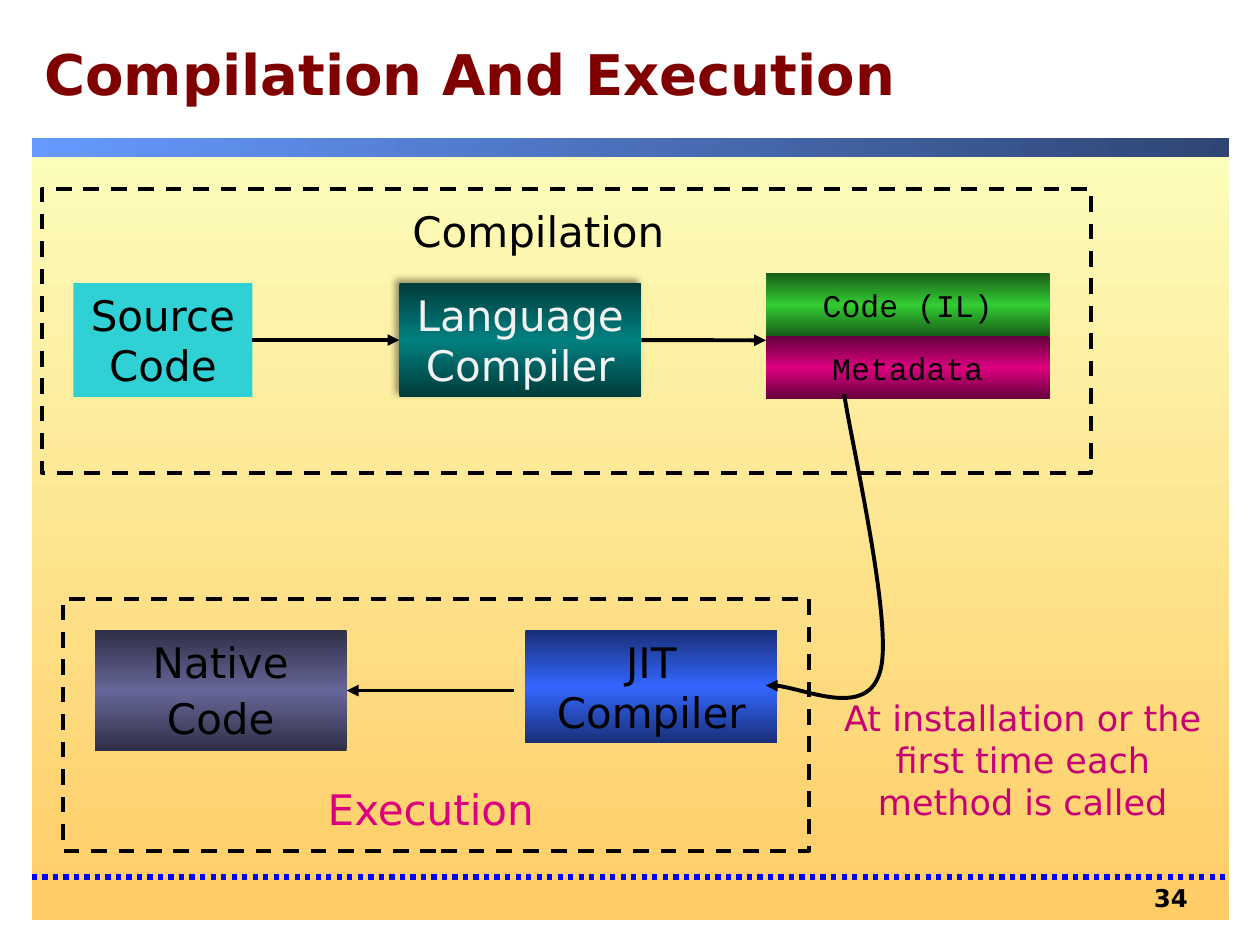
import copy

import lxml.etree
import pptx
import pptx.dml.color
import pptx.enum.dml
import pptx.enum.shapes
import pptx.enum.text
import pptx.oxml.ns
import pptx.util

Cm, Pt = pptx.util.Cm, pptx.util.Pt
qn = pptx.oxml.ns.qn
Kind = pptx.enum.shapes.MSO_SHAPE
Dash = pptx.enum.dml.MSO_LINE
Align = pptx.enum.text.PP_ALIGN
Anchor = pptx.enum.text.MSO_ANCHOR
SANS, MONO = "DejaVu Sans", "Courier New"


def rgb(code):
    return pptx.dml.color.RGBColor.from_string(code)


def sub(node, tag, **attrs):
    return lxml.etree.SubElement(node, qn(tag), attrs)


def within(box, x, y, w, h):
    """Turn a place inside a box into a place on the slide."""
    return box[0] + x, box[1] + y, w, h


def paint(shape, hues, angle=270):
    """Fill with one colour, or with evenly spaced gradient stops."""
    fill = shape.fill
    if len(hues) == 1:
        fill.solid()
        fill.fore_color.rgb = rgb(hues[0])
        return
    fill.gradient()
    fill.gradient_angle = angle
    stops = shape._element.spPr.find(".//" + qn("a:gsLst"))
    for _ in hues[2:]:
        stops.append(copy.deepcopy(stops[0]))
    for i, (stop, hue) in enumerate(zip(fill.gradient_stops, hues)):
        stop.color.rgb = rgb(hue)
        stop.position = i / (len(hues) - 1)


def write(shape, lines, size, hue="000000", font=SANS, bold=False,
          align=Align.CENTER, before=0, wrap=True, anchor=Anchor.TOP):
    frame = shape.text_frame
    frame.word_wrap = wrap
    frame.vertical_anchor = anchor
    for i, line in enumerate(lines):
        para = frame.add_paragraph() if i else frame.paragraphs[0]
        para.alignment = align
        para.space_before = Pt(before)
        run = para.add_run()
        run.text = line
        run.font.size, run.font.name, run.font.bold = Pt(size), font, bold
        run.font.color.rgb = rgb(hue)


def block(slide, box, hues, angle=270):
    shape = slide.shapes.add_shape(Kind.RECTANGLE, *map(Cm, box))
    shape.shadow.inherit = False
    paint(shape, hues, angle)
    shape.line.fill.background()
    return shape


def frame(slide, box):
    shape = slide.shapes.add_shape(Kind.RECTANGLE, *map(Cm, box))
    shape.shadow.inherit = False
    shape.fill.background()
    shape.line.dash_style = Dash.DASH
    ink(shape.line)


def label(slide, box, text, size, hue, **style):
    shape = slide.shapes.add_textbox(*map(Cm, box))
    write(shape, [text], size, hue, **style)
    return shape


def ink(line, hue="000000", width=2.25):
    line.color.rgb = rgb(hue)
    line.width = Pt(width)


def rule(slide, x1, y1, x2, y2):
    line = slide.shapes.add_connector(
        pptx.enum.shapes.MSO_CONNECTOR.STRAIGHT, *map(Cm, (x1, y1, x2, y2)))
    sub(line._element.spPr, "a:effectLst")
    ink(line.line)
    return line


def tip(shape):
    """Put an arrowhead at the end of a line."""
    sub(shape.line._get_or_add_ln(), "a:tailEnd", type="triangle")


def cast(shape):
    """Give a soft shadow towards the upper left."""
    effects = shape._element.spPr.find(qn("a:effectLst"))
    outer = sub(effects, "a:outerShdw", blurRad=str(Pt(4)), dist=str(Pt(3)),
                dir=str(225 * 60000), algn="br", rotWithShape="0")
    sub(sub(outer, "a:prstClr", val="black"), "a:alpha", val="40000")


def curve(slide, box, spots):
    """Draw Bezier arcs: a start, then three points for each arc."""
    spots = [(Cm(box[0] + x), Cm(box[1] + y)) for x, y in spots]
    pen = slide.shapes.build_freeform(*spots[0])
    pen.add_line_segments(spots[1:], close=False)
    shape = pen.convert_to_shape()
    route = shape._element.spPr.find(".//" + qn("a:path"))
    legs = route.findall(qn("a:lnTo"))
    for i in range(0, len(legs), 3):
        arc = sub(route, "a:cubicBezTo")
        for leg in legs[i:i + 3]:
            arc.append(leg[0])
            route.remove(leg)
    shape.shadow.inherit = False
    shape.fill.background()
    ink(shape.line)
    tip(shape)


def ground(slide, box):
    x, y, w, h = box
    block(slide, box, ["FCFEBC", "FFCC66"])
    block(slide, (x, y, w, 0.38), ["6699FF", "2F4675"], 0)
    low = y + 14.89
    line = rule(slide, x, low, x + w - 0.03, low).line
    ink(line, "0000FF", 3)
    line.dash_style = Dash.ROUND_DOT
    num = label(slide, within(box, 21.2, 14.89, 2.54, 0.51), "34", 14,
                "000000", bold=True, align=Align.RIGHT, before=7)
    num.text_frame.margin_right = Cm(0.43)


def head(slide, box):
    title = slide.shapes.title
    title.left, title.top, title.width, title.height = map(Cm, box)
    write(title, ["Compilation And Execution"], 32, "800000", bold=True,
          align=Align.LEFT, anchor=Anchor.MIDDLE)
    title.text_frame.paragraphs[0].line_spacing = 0.8


def build(slide, box):
    """Place the compilation stage."""
    frame(slide, box)
    label(slide, within(box, 7.21, 0.2, 5.61, 1.27), "Compilation", 24,
          "000000", before=3.6, wrap=False)
    source = block(slide, within(box, 0.64, 1.9, 3.61, 2.29), ["2FD1D5"])
    write(source, ["Source Code"], 24, before=3.6)
    lang = block(slide, within(box, 7.21, 1.9, 4.88, 2.29),
                 ["003B3B", "008080", "003B3B"])
    write(lang, ["Language Compiler"], 24, "F2F2F2", before=3.6)
    cast(lang)
    parts = [("Code (IL)", "185E18", "33CC33"),
             ("Metadata", "65003B", "DC0081")]
    for i, (text, dark, light) in enumerate(parts):
        part = block(slide, within(box, 14.6, 1.7 + 1.27 * i, 5.72, 1.27),
                     [dark, light, dark])
        write(part, [text], 18, font=MONO, wrap=False, anchor=Anchor.MIDDLE)
    mid = box[1] + 3.05
    feed = rule(slide, box[0] + 4.25, mid, box[0] + 7.21, mid)
    feed.begin_connect(source, 3)
    feed.end_connect(lang, 1)
    emit = rule(slide, box[0] + 12.09, mid, box[0] + 14.6, mid)
    emit.begin_connect(lang, 3)
    tip(feed)
    tip(emit)


def launch(slide, box):
    """Place the execution stage."""
    frame(slide, box)
    label(slide, within(box, 5.08, 3.6, 4.67, 1.3), "Execution", 24,
          "DC0081", before=3.6, wrap=False)
    jit = block(slide, within(box, 9.32, 0.63, 5.08, 2.29),
                ["182F76", "3366FF", "182F76"])
    write(jit, ["JIT Compiler"], 24, before=3.6)
    native = block(slide, within(box, 0.64, 0.63, 5.08, 2.44),
                   ["2F2F46", "666699", "2F2F46"])
    write(native, ["Native", "Code"], 24, before=3.6)
    mid = box[1] + 1.85
    line = rule(slide, box[0] + 9.09, mid, box[0] + 5.72, mid)
    line.end_connect(native, 3)
    tip(line)


def handoff(slide, box):
    """Place the curved arrow and its remark."""
    curve(slide, box, [(1.58, 0), (1.71, 0.91), (2.57, 4.6), (2.31, 5.56),
                       (2.06, 6.55), (0.49, 5.79), (0, 5.87)])
    label(slide, within(box, 1.27, 5.97, 7.82, 2.79),
          "At installation or the first time each method is called", 20,
          "C70074", before=3)


def main():
    deck = pptx.Presentation()
    deck.slide_width, deck.slide_height = Cm(25.4), Cm(19.05)
    slide = deck.slides.add_slide(deck.slide_layouts[5])
    ground(slide, (0.64, 2.79, 24.13, 15.75))
    head(slide, (0.64, 0.43, 24.13, 2.34))
    build(slide, (0.84, 3.81, 21.16, 5.72))
    launch(slide, (1.27, 12.07, 15.04, 5.08))
    handoff(slide, (15.44, 7.95, 9.09, 8.76))
    deck.save("out.pptx")


if __name__ == "__main__":
    main()
